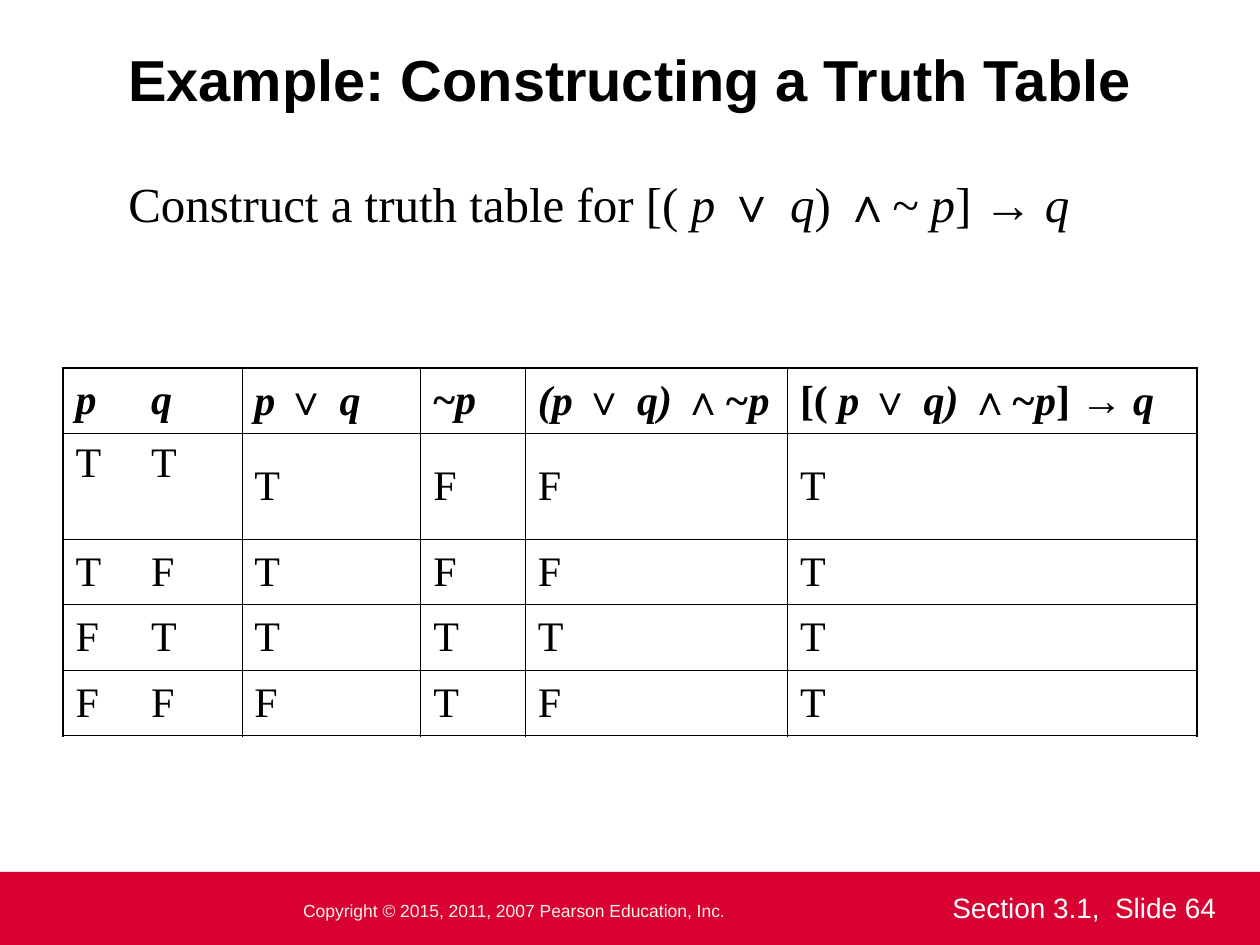
from lxml.etree import SubElement
from pptx import Presentation
from pptx.dml.color import RGBColor
from pptx.enum.shapes import MSO_SHAPE
from pptx.enum.text import MSO_ANCHOR, PP_ALIGN
from pptx.oxml.ns import qn
from pptx.util import Emu, Pt

PX = 9144  # EMU in one px, 100 px to the inch
BLACK = RGBColor(0x00, 0x00, 0x00)
WHITE = RGBColor(0xFF, 0xFF, 0xFF)
CRIMSON = RGBColor(0xD9, 0x00, 0x32)
IVORY = RGBColor(0xF3, 0xF5, 0xE7)

SANS, SERIF = "Arial", "Times New Roman"
TITLE = {"name": SANS, "size": Pt(33), "bold": True, "color": BLACK}
BODY = {"name": SERIF, "size": Pt(28), "color": BLACK}
CELL = {"name": SERIF, "size": Pt(24), "color": BLACK}
HEADER = {**CELL, "bold": True}
COPYRIGHT = {"name": SANS, "size": Pt(10), "color": IVORY}
PAGE = {"name": SANS, "size": Pt(16), "color": WHITE}
UPRIGHT = {}
ITALIC = {"italic": True}
OPERATOR = {"name": SANS, "bold": True}
ARROW = {"name": SANS}
OR, AND, IMPLIES = ("∨ ", OPERATOR), ("∧", OPERATOR), ("→", ARROW)

TASK = [("Construct a truth table for [( ", UPRIGHT), ("p ", ITALIC), OR,
        ("q", ITALIC), (") ", UPRIGHT), AND, ("~ p", ITALIC),
        ("] ", UPRIGHT), IMPLIES, (" q", ITALIC)]
HEADINGS = [
    [("p\tq", ITALIC)],
    [("p ", ITALIC), OR, ("q", ITALIC)],
    [("~", UPRIGHT), ("p", ITALIC)],
    [("(p ", ITALIC), OR, ("q) ", ITALIC), AND, ("~p", ITALIC)],
    [("[( ", UPRIGHT), ("p ", ITALIC), OR, ("q) ", ITALIC), AND,
     ("~p", ITALIC), ("] ", UPRIGHT), IMPLIES, (" q", ITALIC)],
]
TRUTH_VALUES = [
    ["T\tT", "T", "F", "F", "T"],
    ["T\tF", "T", "F", "F", "T"],
    ["F\tT", "T", "T", "T", "T"],
    ["F\tF", "F", "T", "F", "T"],
]
COLUMN_WIDTHS = [142, 142, 83, 208, 325]
ROW_HEIGHTS = [52, 84, 52, 52, 52]
INNER_LINE, OUTER_LINE = Pt(0.45), Pt(1.08)


class SlideBuilder:
    def __init__(self, presentation):
        self.slide = presentation.slides.add_slide(presentation.slide_layouts[6])

    def place(self, *lengths):
        return [Emu(length * PX) for length in lengths]

    def band(self, box, color):
        shape = self.slide.shapes.add_shape(MSO_SHAPE.RECTANGLE, *self.place(*box))
        shape.shadow.inherit = False
        shape.fill.solid()
        shape.fill.fore_color.rgb = color
        shape.line.fill.background()

    def add_runs(self, paragraph, runs, style):
        for text, changes in runs:
            run = paragraph.add_run()
            run.text = text
            for name, value in {**style, **changes}.items():
                if name == "color":
                    run.font.color.rgb = value
                else:
                    setattr(run.font, name, value)

    def text(self, box, runs, style, align=PP_ALIGN.LEFT, **frame_format):
        frame = self.slide.shapes.add_textbox(*self.place(*box)).text_frame
        for name, value in {"word_wrap": True, **frame_format}.items():
            setattr(frame, name, value)
        paragraph = frame.paragraphs[0]
        paragraph.alignment = align
        self.add_runs(paragraph, runs, style)

    def borders(self, cell, widths):
        """Draw the left, right, top and bottom lines of a cell."""
        properties = cell._tc.get_or_add_tcPr()
        for index, (side, width) in enumerate(zip("LRTB", widths)):
            line = SubElement(properties, qn(f"a:ln{side}"), w=str(width))
            fill = SubElement(line, qn("a:solidFill"))
            SubElement(fill, qn("a:srgbClr"), val=str(BLACK))
            properties.insert(index, line)

    def table(self, left, top, widths, heights, rows, tab):
        table = self.slide.shapes.add_table(
            len(heights), len(widths),
            *self.place(left, top, sum(widths), sum(heights))).table
        table.first_row = table.horz_banding = False
        for column, width in zip(table.columns, widths):
            column.width = Emu(width * PX)
        for row, height in zip(table.rows, heights):
            row.height = Emu(height * PX)
        last_row, last_column = len(heights) - 1, len(widths) - 1
        for r, (style, cells) in enumerate(rows):
            for c, runs in enumerate(cells):
                cell = table.cell(r, c)
                cell.fill.background()
                edges = (c == 0, c == last_column, r == 0, r == last_row)
                self.borders(cell, [OUTER_LINE if edge else INNER_LINE for edge in edges])
                cell.vertical_anchor = MSO_ANCHOR.MIDDLE
                paragraph = cell.text_frame.paragraphs[0]
                if c == 0:
                    tabs = SubElement(paragraph._p.get_or_add_pPr(), qn("a:tabLst"))
                    SubElement(tabs, qn("a:tab"), pos=str(tab * PX), algn="l")
                self.add_runs(paragraph, runs, style)
        return table


def main():
    presentation = Presentation()
    presentation.slide_width, presentation.slide_height = Emu(1000 * PX), Emu(750 * PX)
    builder = SlideBuilder(presentation)

    builder.band((0, 692, 1000, 58), CRIMSON)
    builder.text((200, 706, 375, 34),
                 [("Copyright © 2015, 2011, 2007 Pearson Education, Inc.", UPRIGHT)],
                 COPYRIGHT, PP_ALIGN.RIGHT, vertical_anchor=MSO_ANCHOR.MIDDLE,
                 margin_left=0, margin_right=0, margin_top=0, margin_bottom=0)
    builder.text((746, 702, 244, 25), [("Section 3.1,  Slide 64", UPRIGHT)], PAGE)
    builder.text((50, 25, 900, 75), [("Example: Constructing a Truth Table", UPRIGHT)],
                 TITLE, PP_ALIGN.CENTER, vertical_anchor=MSO_ANCHOR.MIDDLE)
    builder.text((92, 133, 808, 83), TASK, BODY)

    rows = [(HEADER, HEADINGS)]
    rows += [(CELL, [[(value, UPRIGHT)] for value in values]) for values in TRUTH_VALUES]
    table = builder.table(50, 292, COLUMN_WIDTHS, ROW_HEIGHTS, rows, tab=60)
    table.cell(1, 0).vertical_anchor = MSO_ANCHOR.TOP

    presentation.save("out.pptx")


if __name__ == "__main__":
    main()
